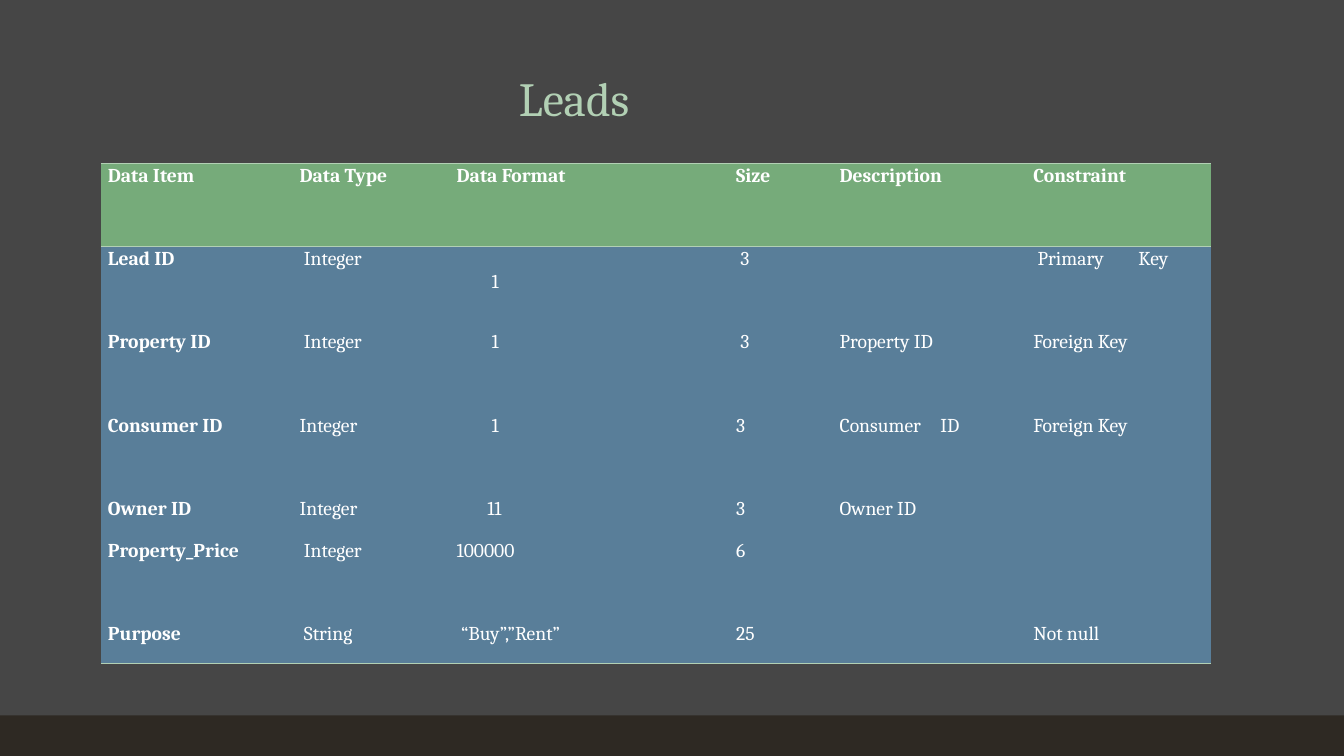
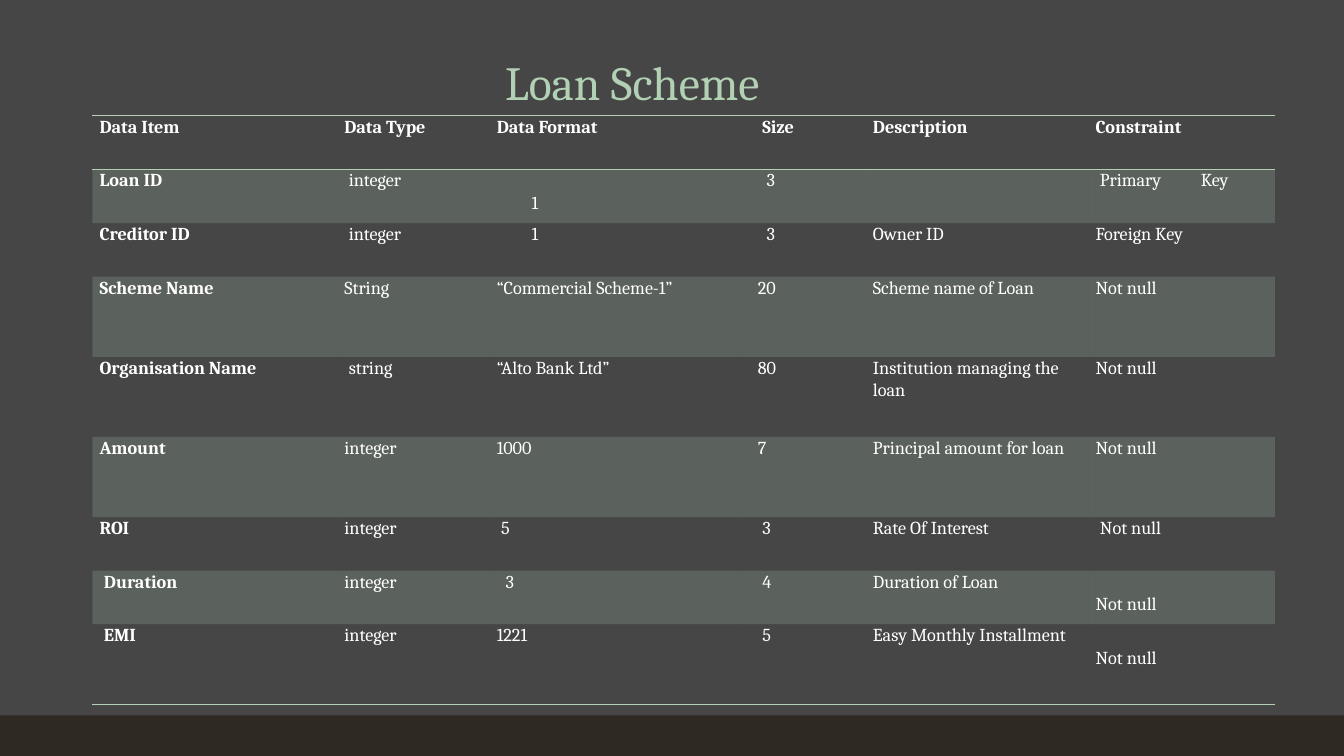
from lxml.etree import SubElement
from pptx import Presentation
from pptx.dml.color import RGBColor
from pptx.enum.shapes import MSO_SHAPE
from pptx.enum.text import MSO_ANCHOR
from pptx.oxml import parse_xml
from pptx.oxml.ns import nsdecls, qn
from pptx.util import Cm, Pt

BACKDROP, BAND, MINT, WHITE = "464646", "2E2923", "B2D0B4", "FFFFFF"
GREEN, BLUE = "76AB7A", "597E99"
NO_STYLE = "{2D5ABB26-0587-4C30-8999-92F81FD0307C}"
SPACE = 0.11
LINE_DROP = 0.57
TAB_STOPS = {"Primary\tKey": 2.05, "Consumer\tID": 2.6}


def color(hex_value):
    return RGBColor.from_string(hex_value)


def write(paragraph, text, indent, spacing, tint, formats):
    paragraph.line_spacing = spacing
    properties = paragraph._p.get_or_add_pPr()
    properties.set("marL", str(Cm(indent)))
    properties.set("indent", "0")
    if text in TAB_STOPS:
        stops = SubElement(properties, qn("a:tabLst"))
        SubElement(stops, qn("a:tab"), pos=str(Cm(TAB_STOPS[text])), algn="l")
    run = paragraph.add_run()
    run.text = text
    run.font.color.rgb = color(tint)
    for name, value in formats.items():
        setattr(run.font, name, value)


HEADER = ["Data Item", "Data Type", "Data Format", (4, "Size"), "Description", "Constraint"]

schemas = [
    {
        "title": "Leads", "title_height": 2.31, "title_indent": 10.5,
        "left": 2.54, "top": 4.11, "size": 14,
        "columns": [4.83, 3.96, 6.6, 3.05, 4.88, 4.67],
        "heights": [2.1, 2.1, 2.1, 2.1, 1.05, 2.1, 1.05],
        "header_fill": GREEN, "row_fills": [BLUE, BLUE], "alpha": 100,
        "rows": [
            ["Lead ID", (1, "Integer"), (8, "1", LINE_DROP), (5, "3"), "", (1, "Primary\tKey")],
            ["Property ID", (1, "Integer"), (8, "1"), (5, "3"), "Property ID", "Foreign Key"],
            ["Consumer ID", "Integer", (8, "1"), (4, "3"), "Consumer\tID", "Foreign Key"],
            ["Owner ID", "Integer", (7, "11"), (4, "3"), "Owner ID", ""],
            ["Property_Price", (1, "Integer"), "100000", (4, "6"), "", ""],
            ["Purpose", (1, "String"), (1, "“Buy”,”Rent”"), (4, "25"), "", "Not null"],
        ],
    },
    {
        "title": "Loan Scheme", "title_height": 1.91, "title_indent": 10.15,
        "left": 2.33, "top": 2.92, "size": 13,
        "columns": [6.17, 3.84, 6.25, 3.23, 5.61, 4.7],
        "heights": [1.35, 1.35, 1.35, 2.02, 2.02, 2.02, 1.35, 1.35, 2.02],
        "header_fill": None, "row_fills": [MINT, None], "alpha": 20,
        "rows": [
            ["Loan ID", (1, "integer"), (8, "1", LINE_DROP), (5, "3"), "", (1, "Primary\tKey")],
            ["Creditor ID", (1, "integer"), (8, "1"), (5, "3"), "Owner ID", "Foreign Key"],
            ["Scheme Name", "String", "“Commercial Scheme-1”", (3, "20"),
             "Scheme name of Loan", "Not null"],
            ["Organisation Name", (1, "string"), "“Alto Bank Ltd”", (3, "80"),
             "Institution managing the loan", "Not null"],
            ["Amount", "integer", "1000", (3, "7"), "Principal amount for loan", "Not null"],
            ["ROI", "integer", (1, "5"), (4, "3"), "Rate Of Interest", (1, "Not null")],
            [(1, "Duration"), "integer", (2, "3"), (4, "4"), "Duration of Loan",
             (0, "Not null", LINE_DROP)],
            [(1, "EMI"), "integer", "1221", (4, "5"), "Easy Monthly Installment",
             (0, "Not null", LINE_DROP)],
        ],
    },
]

deck = Presentation()
deck.slide_width, deck.slide_height = Cm(33.87), Cm(19.05)
backdrop = deck.slide_master.background.fill
backdrop.solid()
backdrop.fore_color.rgb = color(BACKDROP)

for schema in schemas:
    slide = deck.slides.add_slide(deck.slide_layouts[6])

    footer = slide.shapes.add_shape(MSO_SHAPE.RECTANGLE, 0, Cm(18.03), deck.slide_width, Cm(1.02))
    footer.shadow.inherit = False
    footer.fill.solid()
    footer.fill.fore_color.rgb = color(BAND)
    footer.line.fill.background()

    title = slide.shapes.add_textbox(Cm(2.33), Cm(1.02), Cm(29.21), Cm(schema["title_height"]))
    title.text_frame.word_wrap = True
    title.text_frame.vertical_anchor = MSO_ANCHOR.BOTTOM
    write(title.text_frame.paragraphs[0], schema["title"], schema["title_indent"], 0.9, MINT,
          {"size": Pt(34), "name": "Cambria"})

    rows = [HEADER] + schema["rows"]
    frame = slide.shapes.add_table(
        len(rows), len(HEADER), Cm(schema["left"]), Cm(schema["top"]),
        Cm(sum(schema["columns"])), Cm(sum(schema["heights"])))
    fields = frame.table
    fields.horz_banding = False
    for style in frame._element.iter(qn("a:tableStyleId")):
        style.text = NO_STYLE
    for column, width in zip(fields.columns, schema["columns"]):
        column.width = Cm(width)
    for row, height in zip(fields.rows, schema["heights"]):
        row.height = Cm(height)

    for r, entries in enumerate(rows):
        fill = schema["row_fills"][(r - 1) % 2] if r else schema["header_fill"]
        edges = ["lnB"] if r in (0, len(rows) - 1) else []
        if r == 0:
            edges.append("lnT")
        for c, entry in enumerate(entries):
            spaces, text, drop = ((0, entry) if isinstance(entry, str) else entry) + (0,) \
                if isinstance(entry, str) or len(entry) == 2 else entry
            cell = fields.cell(r, c)
            margins = {"margin_left": 0.18, "margin_right": 0.18,
                       "margin_top": drop, "margin_bottom": 0}
            for name, value in margins.items():
                setattr(cell, name, Cm(value))
            if text:
                write(cell.text_frame.paragraphs[0], text, spaces * SPACE, 1.06, WHITE,
                      {"size": Pt(schema["size"]), "name": "Cambria", "bold": r == 0 or c == 0})
            if fill:
                cell.fill.solid()
                cell.fill.fore_color.rgb = color(fill)
                if schema["alpha"] < 100:
                    for tint in cell._tc.tcPr.iter(qn("a:srgbClr")):
                        SubElement(tint, qn("a:alpha"), val=str(schema["alpha"] * 1000))
            else:
                cell.fill.background()
            for edge in edges:
                cell._tc.tcPr.insert(0, parse_xml(
                    f'<a:{edge} {nsdecls("a")} w="{Pt(1)}"><a:solidFill>'
                    f'<a:srgbClr val="{MINT}"/></a:solidFill></a:{edge}>'))

deck.save("out.pptx")
